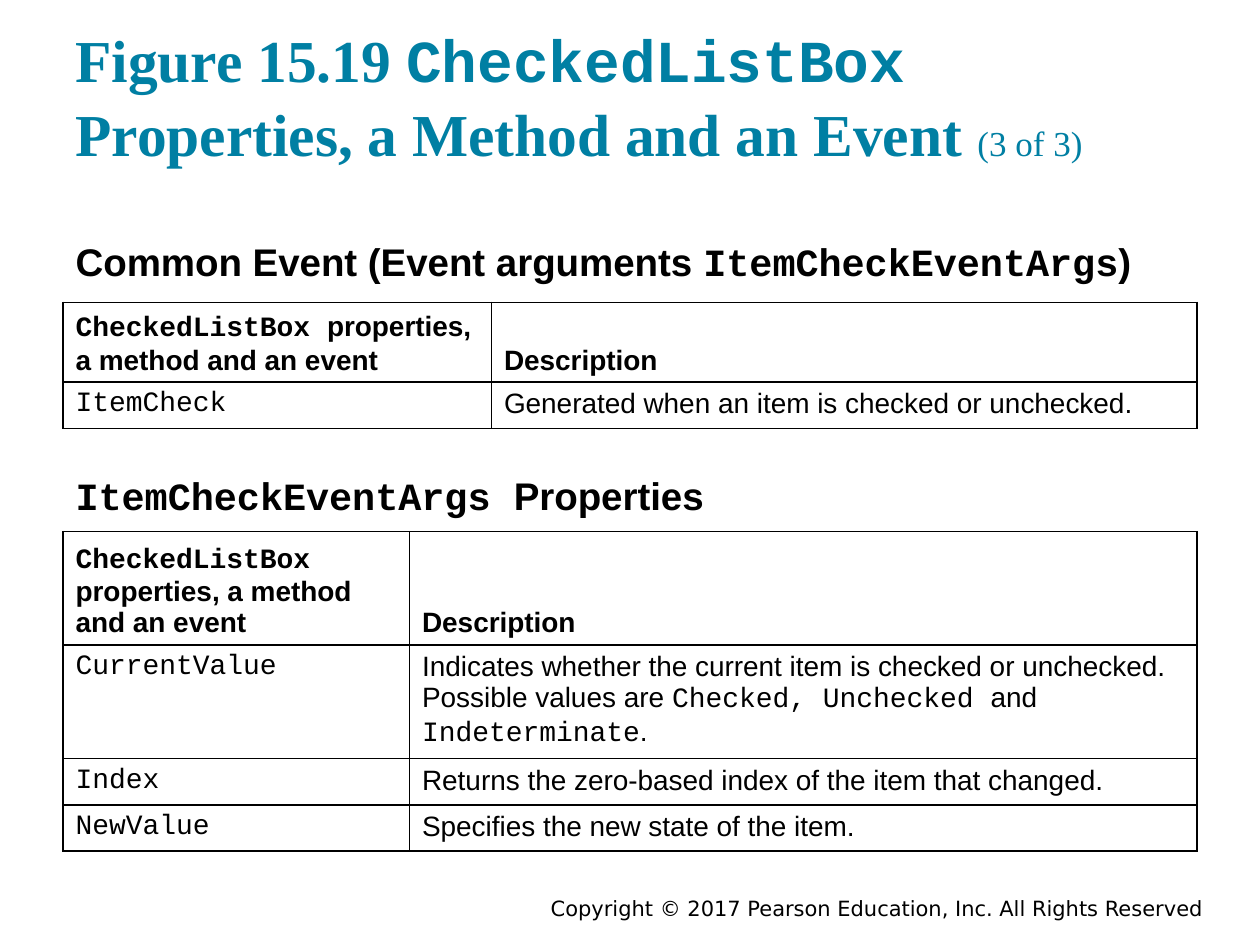
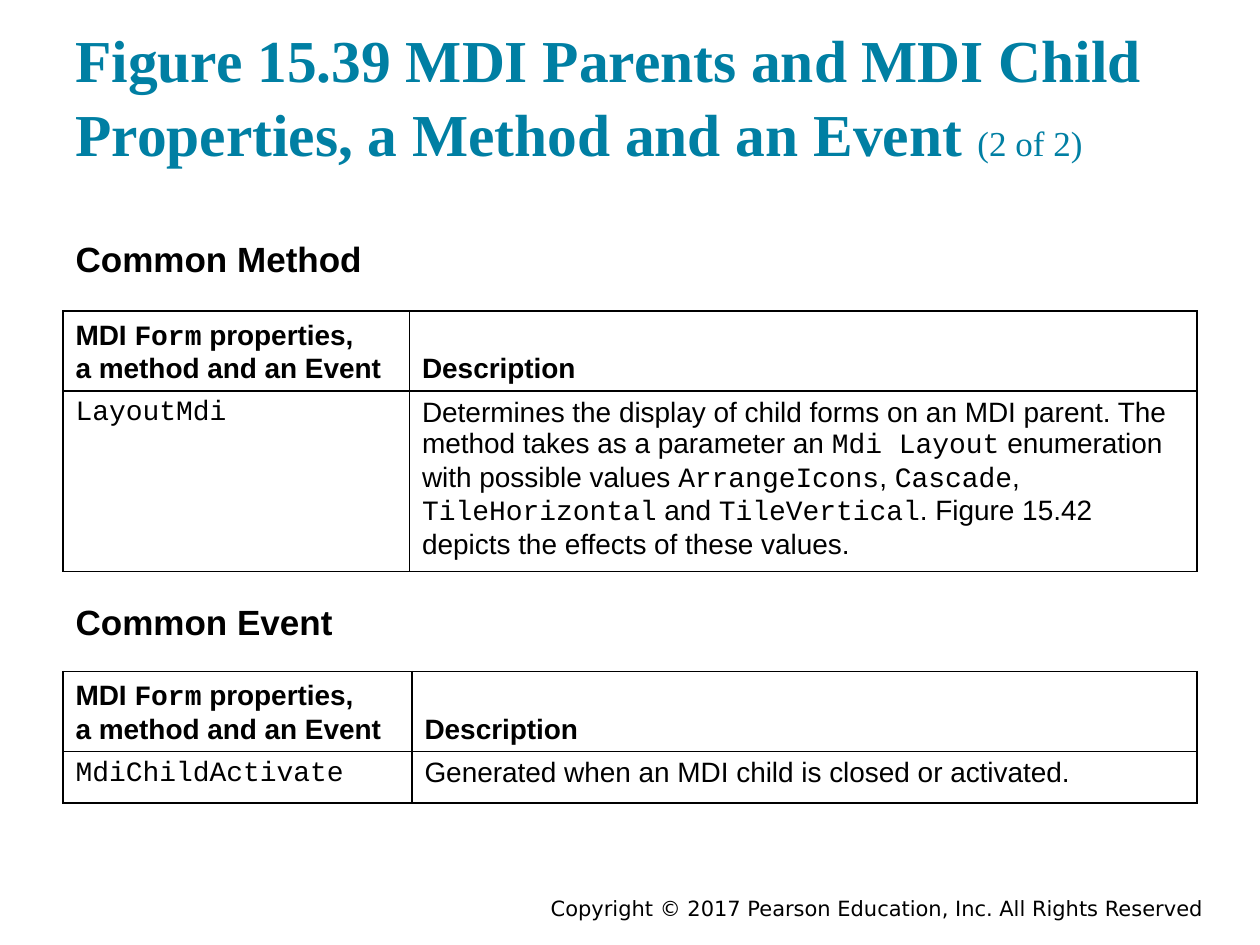
"""Build two slides of class member tables with a shared title, heading and footer style."""
from dataclasses import dataclass

from lxml.etree import SubElement
from pptx import Presentation
from pptx.dml.color import RGBColor
from pptx.enum.text import MSO_ANCHOR as Anchor, MSO_AUTO_SIZE as AutoSize, PP_ALIGN as Align
from pptx.oxml.ns import qn
from pptx.util import Pt

PX = 9144
TEAL, BLACK, WHITE = "007FA3", "000000", "FFFFFF"
SERIF, SANS, CODE, FOOTER_FONT = "Times New Roman", "Arial", "Courier New", "DejaVu Sans"
LEFT, WIDTH = 50, 900
COMPARISON_LAYOUT = 4
HEADING_SLOTS = (1, 3)
COPYRIGHT = "Copyright © 2017 Pearson Education, Inc. All Rights Reserved"


@dataclass
class Section:
    """A heading with its member table; backticks enclose code."""
    heading: str
    heading_top: int
    heading_height: int
    table_top: int
    name_width: int
    row_heights: tuple[int, ...]
    rows: tuple[tuple[str, str], ...]


@dataclass
class Page:
    """A slide title, its place in the series and its sections."""
    title: str
    sequence: str
    heading_size: int
    sections: tuple[Section, ...]


MDI_HEADER = ("MDI `Form` properties,\na method and an Event", "Description")

PAGES = (
    Page("Figure 15.19 `CheckedListBox` Properties, a Method and an Event ", "(3 of 3)", 22, (
        Section("Common Event (Event arguments `ItemCheckEventArgs`)", 175, 54, 240, 340, (61, 35), (
            ("`CheckedListBox `properties, a method and an event", "Description"),
            ("`ItemCheck`", "Generated when an item is checked or unchecked."),
        )),
        Section("`ItemCheckEventArgs `Properties", 361, 44, 422, 275, (85, 88, 35, 35), (
            ("`CheckedListBox `properties, a method\nand an event", "Description"),
            ("`CurrentValue`", "Indicates whether the current item is checked or unchecked. "
             "Possible values are `Checked, Unchecked `and `Indeterminate`."),
            ("`Index`", "Returns the zero-based index of the item that changed."),
            ("`NewValue`", "Specifies the new state of the item."),
        )),
    )),
    Page("Figure 15.39 MDI Parents and MDI Child Properties, a Method and an Event ", "(2 of 2)", 20, (
        Section("Common Method", 175, 53, 247, 275, (62, 139), (
            MDI_HEADER,
            ("`LayoutMdi`", "Determines the display of child forms on an MDI parent. "
             "The method takes as a parameter an `Mdi Layout` enumeration with possible values "
             "`ArrangeIcons`, `Cascade`, `TileHorizontal` and `TileVertical`. "
             "Figure 15.42 depicts the effects of these values."),
        )),
        Section("Common Event", 463, 50, 533, 277, (61, 41), (
            MDI_HEADER,
            ("`MdiChildActivate`", "Generated when an MDI child is closed or activated."),
        )),
    )),
)


def color(code: str) -> RGBColor:
    """Turn a hex string into a colour."""
    return RGBColor.from_string(code)


def add_run(paragraph, text: str, *, font: str, size: int, bold: bool, ink: str) -> None:
    """Add one formatted run to a paragraph."""
    run = paragraph.add_run()
    run.text = text
    run.font.name, run.font.size, run.font.bold = font, Pt(size), bold
    run.font.color.rgb = color(ink)


def write(frame, text: str, *, font: str = SANS, size: int = 16, bold: bool = False,
          ink: str = BLACK, align: Align = Align.LEFT, spacing: float = 1.0) -> None:
    """Write lines as paragraphs, setting backticked words in the code font."""
    for number, line in enumerate(text.split("\n")):
        paragraph = frame.add_paragraph() if number else frame.paragraphs[0]
        paragraph.alignment, paragraph.line_spacing = align, spacing
        paragraph.space_before = Pt(0)
        for position, words in enumerate(line.split("`")):
            if words:
                add_run(paragraph, words, font=CODE if position % 2 else font,
                        size=size, bold=bold, ink=ink)


def place(shape, left: int, top: int, width: int, height: int) -> None:
    """Move and size a shape in px."""
    shape.left, shape.top, shape.width, shape.height = (
        length * PX for length in (left, top, width, height))


def prepare(placeholder, top: int, height: int, anchor: Anchor):
    """Position a placeholder and return its text frame."""
    place(placeholder, LEFT, top, WIDTH, height)
    frame = placeholder.text_frame
    frame.word_wrap, frame.auto_size, frame.vertical_anchor = True, AutoSize.NONE, anchor
    frame.margin_left = frame.margin_right = frame.margin_top = frame.margin_bottom = 10 * PX
    return frame


def outline(cell) -> None:
    """Draw a thin black border on all sides of a cell."""
    properties = cell._tc.get_or_add_tcPr()
    for position, side in enumerate(("lnL", "lnR", "lnT", "lnB")):
        border = SubElement(properties, qn(f"a:{side}"), w=str(Pt(1)))
        SubElement(SubElement(border, qn("a:solidFill")), qn("a:srgbClr"), val=BLACK)
        properties.insert(position, border)


def add_members(slide, section: Section) -> None:
    """Add the member table of a section."""
    members = slide.shapes.add_table(
        len(section.rows), 2, LEFT * PX, section.table_top * PX,
        WIDTH * PX, sum(section.row_heights) * PX).table
    members.horz_banding = False
    members.columns[0].width = section.name_width * PX
    members.columns[1].width = (WIDTH - section.name_width) * PX
    for index, (texts, height) in enumerate(zip(section.rows, section.row_heights)):
        members.rows[index].height = height * PX
        is_header = index == 0
        for cell, text in zip(members.rows[index].cells, texts):
            cell.fill.solid()
            cell.fill.fore_color.rgb = color(WHITE)
            cell.vertical_anchor = Anchor.BOTTOM if is_header else Anchor.TOP
            write(cell.text_frame, text, bold=is_header)
            outline(cell)


def add_footer(slide) -> None:
    """Add the copyright line."""
    frame = slide.shapes.add_textbox(300 * PX, 708 * PX, 665 * PX, 25 * PX).text_frame
    frame.word_wrap, frame.vertical_anchor = True, Anchor.MIDDLE
    write(frame, COPYRIGHT, font=FOOTER_FONT, size=12, align=Align.RIGHT)


def add_page(deck, page: Page) -> None:
    """Add one slide with its title, sections and footer."""
    slide = deck.slides.add_slide(deck.slide_layouts[COMPARISON_LAYOUT])
    add_footer(slide)
    title = prepare(slide.shapes.title, 24, 120, Anchor.BOTTOM)
    write(title, page.title, font=SERIF, size=34, bold=True, ink=TEAL, spacing=1.04)
    add_run(title.paragraphs[0], page.sequence, font=SERIF, size=20, bold=False, ink=TEAL)
    headings = {slot.placeholder_format.idx: slot for slot in slide.placeholders}
    for slot, section in zip(HEADING_SLOTS, page.sections):
        heading = prepare(headings[slot], section.heading_top, section.heading_height, Anchor.TOP)
        write(heading, section.heading, size=page.heading_size, bold=True, spacing=1.1)
        add_members(slide, section)
    for placeholder in list(slide.placeholders):
        if placeholder.has_text_frame and not placeholder.text_frame.text:
            placeholder.element.getparent().remove(placeholder.element)


def main() -> None:
    """Build and save the deck."""
    deck = Presentation()
    deck.slide_width, deck.slide_height = 1000 * PX, 750 * PX
    for page in PAGES:
        add_page(deck, page)
    deck.save("out.pptx")


if __name__ == "__main__":
    main()
